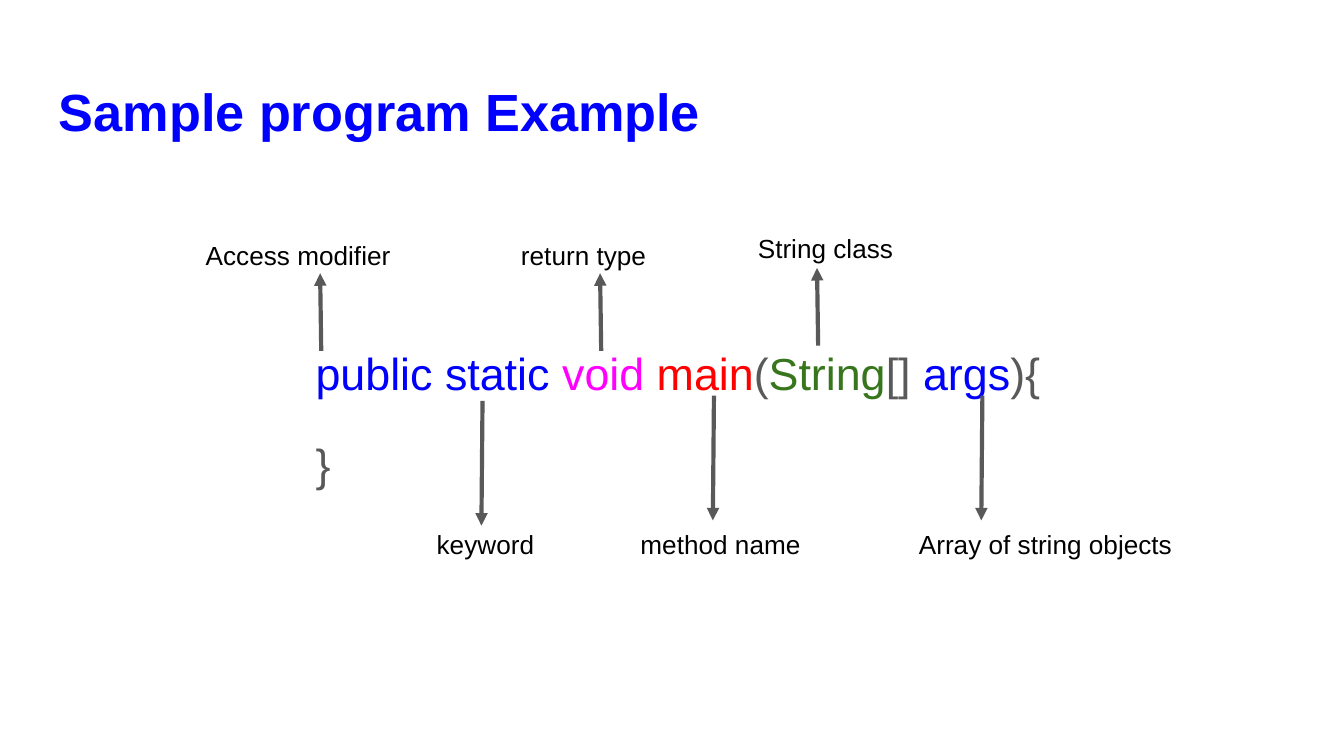
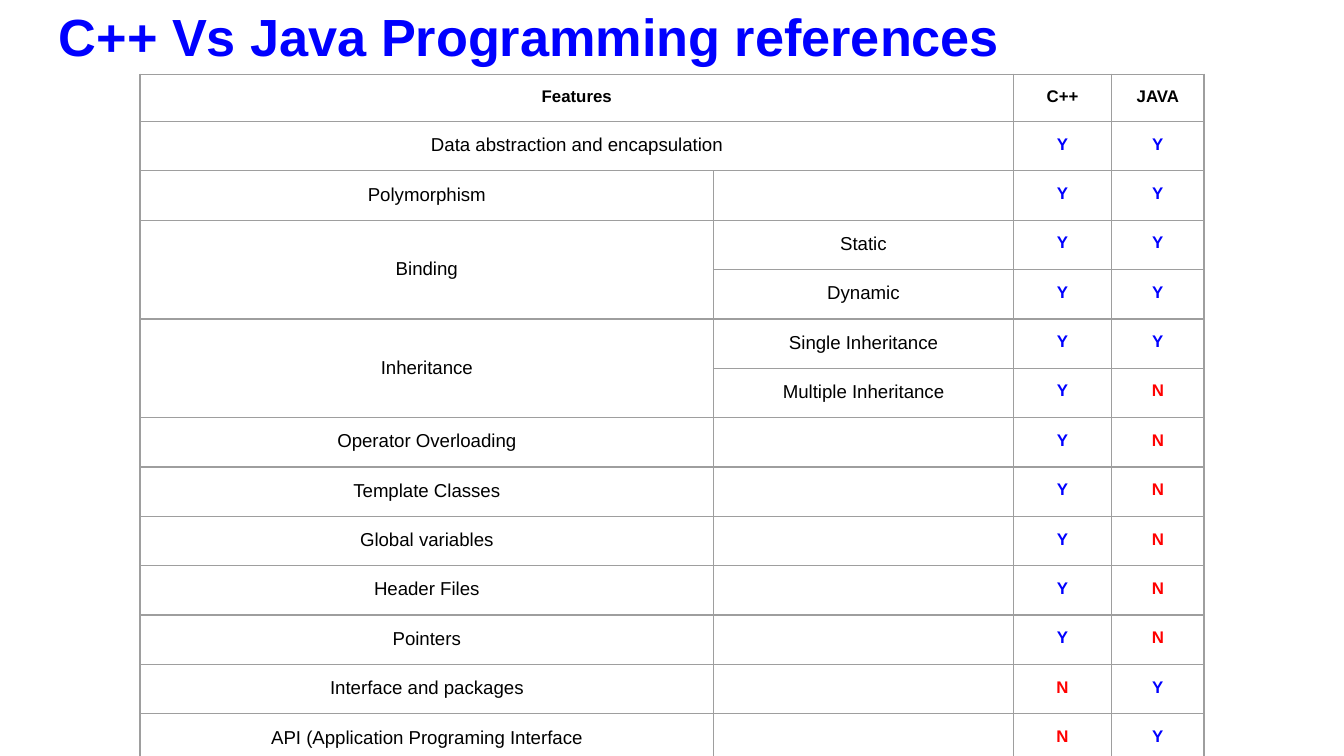
from lxml import etree
from pptx import Presentation
from pptx.dml.color import RGBColor
from pptx.enum.shapes import MSO_CONNECTOR
from pptx.enum.text import MSO_ANCHOR, PP_ALIGN
from pptx.oxml.ns import qn
from pptx.util import Pt

LEFT, CENTER = PP_ALIGN.LEFT, PP_ALIGN.CENTER
MIDDLE, STRAIGHT = MSO_ANCHOR.MIDDLE, MSO_CONNECTOR.STRAIGHT

BLUE = RGBColor(0x00, 0x00, 0xFF)
MAGENTA = RGBColor(0xFF, 0x00, 0xFF)
RED = RGBColor(0xFF, 0x00, 0x00)
GREEN = RGBColor(0x38, 0x76, 0x1D)
GREY = RGBColor(0x59, 0x59, 0x59)
BLACK = RGBColor(0x00, 0x00, 0x00)
BORDER = RGBColor(0x9E, 0x9E, 0x9E)

FONT = "Arial"
INSET = 7.2

# Text formats
TITLE = {"size": Pt(28), "bold": True}
CODE = {"size": Pt(24)}
LABEL = {"size": Pt(14)}
HEADING = {"size": Pt(9), "bold": True}
FEATURE = {"size": Pt(10), "bold": False}

# Slide 1: code line and its labels
CODE_LINES = [
    [("public static ", BLUE), ("void ", MAGENTA), ("main", RED), ("(", GREY),
     ("String", GREEN), ("[] ", GREY), ("args", BLUE), ("){", GREY)],
    [("}", GREY)],
]
LABEL_TOP = 120.8
LABEL_BOTTOM = 275.8
ARROW_UP, ARROW_DOWN = -41.6, 66.8
# text, left, top, width, alignment
LABELS = [
    ("Access modifier", 103.1, LABEL_TOP, 114.5, LEFT),
    ("keyword", 202.8, LABEL_BOTTOM, 114.5, CENTER),
    ("return type", 272, LABEL_TOP, 114.5, LEFT),
    ("method name", 336, LABEL_BOTTOM, 114.5, LEFT),
    ("String class", 398.9, LABEL_TOP - 3.5, 114.5, LEFT),
    ("Array of string objects", 485.2, LABEL_BOTTOM, 153.4, LEFT),
]
# start x, start y, rise or drop
ARROWS = [
    (172.1, 188, ARROW_UP), (258.5, 214.8, ARROW_DOWN),
    (322.1, 188, ARROW_UP), (438.3, 185.2, ARROW_UP),
    (382.5, 212, ARROW_DOWN), (526.3, 212, ARROW_DOWN),
]

# Slide 2: feature, detail, C++ mark, JAVA mark
HEADERS = ("Features", "", "C++", "JAVA")
FEATURES = [
    ("Data abstraction and encapsulation", "", "Y", "Y"),
    ("Polymorphism", "", "Y", "Y"),
    ("Binding", "Static", "Y", "Y"),
    ("", "Dynamic", "Y", "Y"),
    ("Inheritance", "Single Inheritance", "Y", "Y"),
    ("", "Multiple Inheritance", "Y", "N"),
    ("Operator Overloading", "", "Y", "N"),
    ("Template Classes", "", "Y", "N"),
    ("Global variables", "", "Y", "N"),
    ("Header Files", "", "Y", "N"),
    ("Pointers", "", "Y", "N"),
    ("Interface and packages", "", "N", "Y"),
    ("API (Application Programing Interface", "", "N", "Y"),
]
MARK_COLORS = {"Y": BLUE, "N": RED}
COLUMN_WIDTHS = (307.2, 160.7, 52.6, 49.6)
HEADER_HEIGHT, ROW_HEIGHT = 24.5, 25
WIDE_ROWS = (0, 1)
TALL_ROWS = (3, 5)


def set_insets(obj):
    for side in ("left", "right", "top", "bottom"):
        setattr(obj, "margin_" + side, Pt(INSET))


def add_run(p, text, color, style):
    r = p.add_run()
    r.text = text
    r.font.name = FONT
    r.font.color.rgb = color
    for name, value in style.items():
        setattr(r.font, name, value)


def add_text(slide, box, lines, style, **layout):
    """Each line is a list of (text, colour); layout holds paragraph settings."""
    tf = slide.shapes.add_textbox(*map(Pt, box)).text_frame
    tf.word_wrap = True
    set_insets(tf)
    for i, line in enumerate(lines):
        p = tf.add_paragraph() if i else tf.paragraphs[0]
        for name, value in layout.items():
            setattr(p, name, value)
        for text, color in line:
            add_run(p, text, color, style)
    return tf


def add_slide(prs, title, top):
    slide = prs.slides.add_slide(prs.slide_layouts[6])
    add_text(slide, (24.5, top, 671, 45), [[(title, BLUE)]], TITLE)
    return slide


def add_arrow(slide, x, y, length):
    lean = -0.6
    line = slide.shapes.add_connector(
        STRAIGHT, Pt(x), Pt(y), Pt(x + lean), Pt(y + length))
    line.line.color.rgb = GREY
    line.line.width = Pt(2.25)
    sp_pr = line.line._get_or_add_ln().getparent()
    etree.SubElement(sp_pr.find(qn("a:ln")), qn("a:tailEnd"), type="triangle")
    etree.SubElement(sp_pr, qn("a:effectLst"))


def set_borders(cell):
    tc_pr = cell._tc.get_or_add_tcPr()
    for i, tag in enumerate(("a:lnL", "a:lnR", "a:lnT", "a:lnB")):
        ln = etree.Element(qn(tag), w=str(Pt(0.75)))
        fill = etree.SubElement(ln, qn("a:solidFill"))
        etree.SubElement(fill, qn("a:srgbClr"), val=str(BORDER))
        tc_pr.insert(i, ln)


def fill_cell(cell, text, color, style):
    set_insets(cell)
    cell.fill.background()
    set_borders(cell)
    p = cell.text_frame.paragraphs[0]
    p.alignment = CENTER
    if text:
        add_run(p, text, color, style)
    else:
        # Keeps an empty cell from stretching its row
        etree.SubElement(p._p, qn("a:endParaRPr"), sz="1000")


def build_code_slide(prs):
    s = add_slide(prs, "Sample program Example", 35.3)
    tf = add_text(s, (162, 173.5, 427.7, 93.6), CODE_LINES, CODE,
                  line_spacing=1.15)
    closing = tf.paragraphs[-1]
    closing.space_before = closing.space_after = Pt(16)
    for text, left, top, width, align in LABELS:
        add_text(s, (left, top, width, 28.8), [[(text, BLACK)]], LABEL,
                 alignment=align)
    for arrow in ARROWS:
        add_arrow(s, *arrow)


def build_table_slide(prs):
    s = add_slide(prs, "C++ Vs Java Programming references", -5)
    rows = [HEADERS] + FEATURES
    height = HEADER_HEIGHT + ROW_HEIGHT * len(FEATURES)
    table = s.shapes.add_table(
        len(rows), len(HEADERS), Pt(75), Pt(39.8),
        Pt(sum(COLUMN_WIDTHS)), Pt(height)).table
    table.first_row = table.horz_banding = False
    for column, width in zip(table.columns, COLUMN_WIDTHS):
        column.width = Pt(width)

    for i, row in enumerate(rows):
        table.rows[i].height = Pt(ROW_HEIGHT if i else HEADER_HEIGHT)
        for j, text in enumerate(row):
            style = FEATURE if i and j < 2 else HEADING
            fill_cell(table.cell(i, j), text, MARK_COLORS.get(text, BLACK), style)

    # Merged cells
    for i in WIDE_ROWS:
        table.cell(i, 0).merge(table.cell(i, 1))
    for i in TALL_ROWS:
        table.cell(i, 0).merge(table.cell(i + 1, 0))
        table.cell(i, 0).vertical_anchor = MIDDLE


def main():
    prs = Presentation()
    prs.slide_width, prs.slide_height = Pt(720), Pt(405)
    build_code_slide(prs)
    build_table_slide(prs)
    prs.save("out.pptx")


if __name__ == "__main__":
    main()
